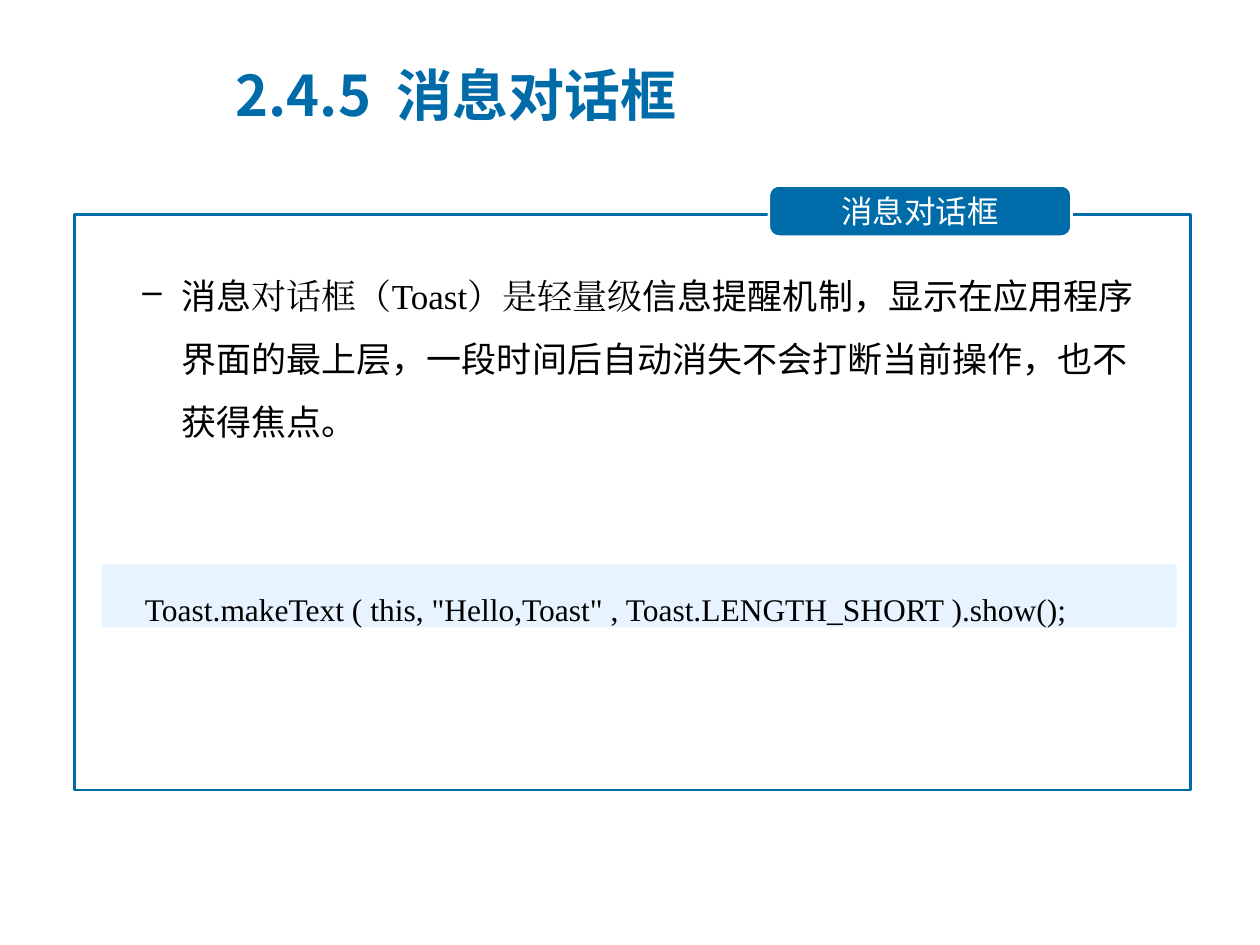
from lxml.etree import SubElement
from pptx import Presentation
from pptx.dml.color import RGBColor
from pptx.enum.shapes import MSO_SHAPE as Shape
from pptx.enum.text import MSO_ANCHOR as Anchor, PP_ALIGN as Align
from pptx.oxml.ns import qn
from pptx.util import Cm, Pt

BLUE = RGBColor(0x00, 0x6B, 0xA9)
PALE_BLUE = RGBColor(0xE7, 0xF4, 0xFF)
WHITE = RGBColor(0xFF, 0xFF, 0xFF)
BLACK = RGBColor(0x00, 0x00, 0x00)
SANS, BODY, SERIF = "Noto Sans CJK SC", "Calibri", "Times New Roman"


def set_typeface(font, name):
    """Use one typeface for Latin and East Asian text."""
    font.name = name
    SubElement(font._element, qn("a:ea")).set("typeface", name) if hasattr(font, "_element") \
        else SubElement(font._rPr, qn("a:ea")).set("typeface", name)


def style_paragraph(paragraph, size, color, name=None, bold=False):
    font = paragraph.font
    font.size, font.bold = Pt(size), bold
    font.color.rgb = color
    if name:
        set_typeface(font, name)


def set_indent(paragraph, left, bullet=None, hanging=None):
    properties = paragraph._p.get_or_add_pPr()
    properties.set("marL", str(Cm(left)))
    properties.set("indent", str(-Cm(hanging or left)))
    if bullet:
        SubElement(properties, qn("a:buChar")).set("char", bullet)


def add_box(slide, kind, left, top, width, height, fill=None, line=None):
    shape = slide.shapes.add_shape(kind, Cm(left), Cm(top), Cm(width), Cm(height))
    shape.shadow.inherit = False
    if fill is None:
        shape.fill.background()
    else:
        shape.fill.solid()
        shape.fill.fore_color.rgb = fill
    if line is None:
        shape.line.fill.background()
    else:
        shape.line.color.rgb = line
        shape.line.width = Pt(1.5)
    return shape


def add_text(slide, left, top, width, height):
    frame = slide.shapes.add_textbox(Cm(left), Cm(top), Cm(width), Cm(height)).text_frame
    frame.word_wrap = True
    return frame


def add_title(slide, left, top, width, height):
    frame = add_text(slide, left, top, width, height)
    frame.vertical_anchor = Anchor.MIDDLE
    paragraph = frame.paragraphs[0]
    paragraph.text = "2.4.5  消息对话框"
    set_indent(paragraph, 1.57)
    style_paragraph(paragraph, 32, BLUE, SANS, bold=True)


def add_panel(slide, left, top, width, height):
    # Outline
    add_box(slide, Shape.RECTANGLE, left, top, width, height, line=BLUE)

    # Label on the top edge
    label = add_box(slide, Shape.ROUNDED_RECTANGLE, left + 14, top - 0.58, 6.1, 1.03,
                    BLUE, WHITE)
    label.adjustments[0] = 0.2
    frame = label.text_frame
    frame.vertical_anchor = Anchor.MIDDLE
    paragraph = frame.paragraphs[0]
    paragraph.text = "消息对话框"
    paragraph.alignment = Align.CENTER
    style_paragraph(paragraph, 18, WHITE, SANS)

    # Explanation
    frame = add_text(slide, left - 0.15, top + 0.66, 22.15, 4.14)
    paragraph = frame.paragraphs[0]
    paragraph.line_spacing = 1.5
    set_indent(paragraph, 2.06, "–", 0.79)
    style_paragraph(paragraph, 20, BLACK)
    for text, name in (
        ("消息", BODY),
        ("对话框（Toast）是轻量级", SERIF),
        ("信息提醒机制，显示在应用程序界面的最上层，一段时间后自动消失不会打断当前操作，也不获得焦点。", BODY),
    ):
        run = paragraph.add_run()
        run.text = text
        set_typeface(run.font, name)

    # Code line
    code = add_box(slide, Shape.RECTANGLE, left + 0.55, top + 7.06, 21.67, 1.27, PALE_BLUE)
    frame = code.text_frame
    frame.vertical_anchor = Anchor.TOP
    paragraph = frame.paragraphs[0]
    paragraph.text = '    Toast.makeText ( this, "Hello,Toast" , Toast.LENGTH_SHORT ).show();'
    paragraph.alignment = Align.LEFT
    paragraph.line_spacing = 1.5
    style_paragraph(paragraph, 18, BLACK, SERIF)


def main():
    presentation = Presentation()
    presentation.slide_width, presentation.slide_height = Cm(25.4), Cm(19.05)
    slide = presentation.slides.add_slide(presentation.slide_layouts[6])
    add_panel(slide, 1.5, 4.32, 22.5, 11.61)
    add_title(slide, 4.5, 1.12, 19.6, 1.55)
    presentation.save("out.pptx")


if __name__ == "__main__":
    main()
